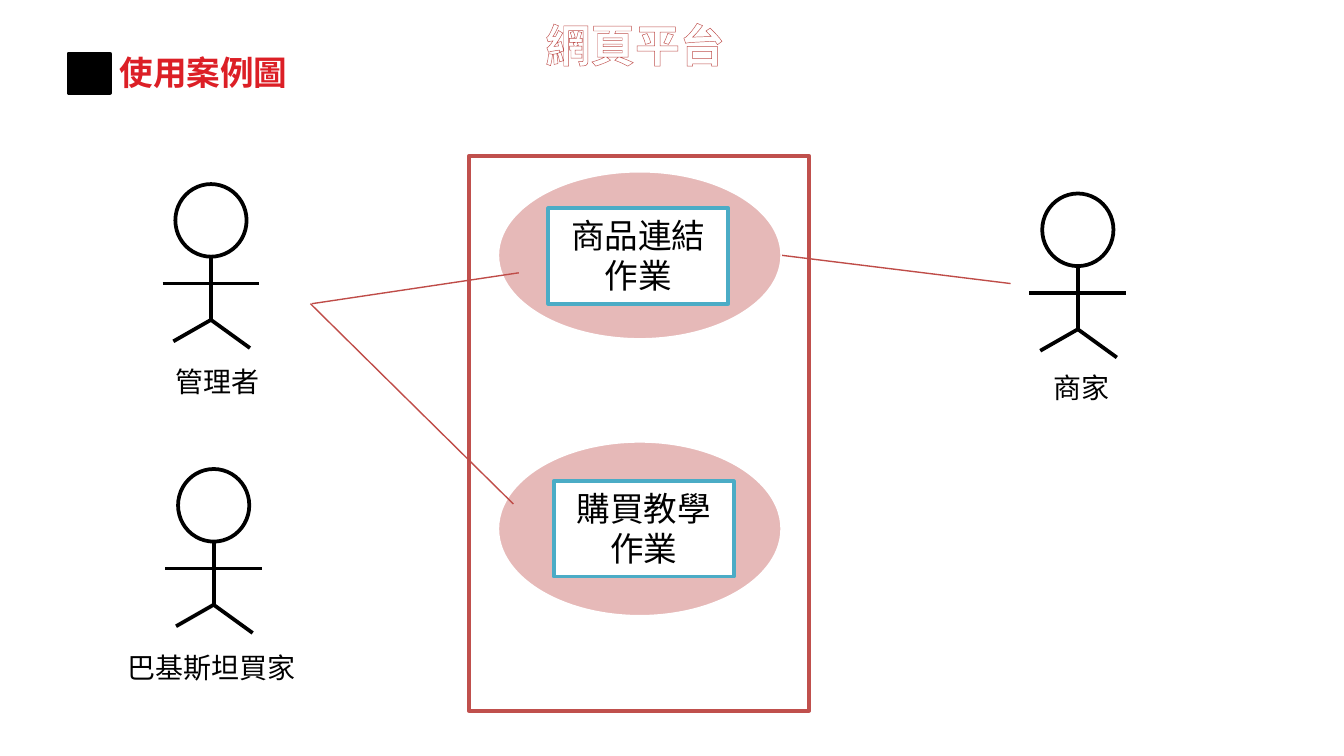
from lxml.etree import SubElement
from pptx import Presentation
from pptx.dml.color import RGBColor
from pptx.enum.shapes import MSO_CONNECTOR, MSO_SHAPE as Shape
from pptx.enum.text import MSO_ANCHOR, PP_ALIGN
from pptx.oxml import parse_xml
from pptx.oxml.ns import nsdecls, qn
from pptx.util import Inches, Pt

BLACK = RGBColor(0x00, 0x00, 0x00)
WHITE = RGBColor(0xFF, 0xFF, 0xFF)
TITLE_RED = RGBColor(0xDC, 0x1F, 0x26)
FRAME_RED = RGBColor(0xC0, 0x50, 0x4D)
LINK_RED = RGBColor(0xBF, 0x4C, 0x48)
PINK = RGBColor(0xE6, 0xB9, 0xB8)
TEAL = RGBColor(0x4B, 0xAC, 0xC6)

# Content: lengths in inches
TITLE = "使用案例圖"
SYSTEM = "網頁平台"
USE_CASES = [  # text, ellipse top and height, label left and top
    ("商品連結作業", 1.27, 1.26, 4.08, 1.55),
    ("購買教學作業", 3.28, 1.31, 4.12, 3.58),
]
ACTORS = [  # name, figure centre and top, name box
    ("管理者", 1.57, 1.37, (1.21, 2.66, 1.67, 0.35)),
    ("巴基斯坦買家", 1.59, 3.49, (0.85, 4.79, 1.6, 0.35)),
    ("商家", 8.02, 1.44, (7.74, 2.71, 1.67, 0.35)),
]
LINKS = [
    ((2.32, 2.26), (3.86, 2.03)),
    ((2.31, 2.26), (3.82, 3.75)),
    ((5.82, 1.9), (7.52, 2.11)),
]

# Stick figure, measured from the top centre of the head
HEAD_WIDTH, HEAD_HEIGHT = 0.53, 0.54
LIMBS = [
    ((-0.36, 0.74), (0.36, 0.74)),
    ((0, 0.54), (0, 1.01)),
    ((0, 1.01), (-0.28, 1.17)),
    ((0.29, 1.22), (0, 1.01)),
]


def add_figure(shapes, kind, place, fill, line):
    shape = shapes.add_shape(kind, *map(Inches, place))
    shape.shadow.inherit = False
    shape.fill.solid()
    shape.fill.fore_color.rgb = fill
    shape.line.color.rgb = line
    shape.line.width = Pt(2)
    return shape


def add_line(shapes, start, end, color, width):
    line = shapes.add_connector(MSO_CONNECTOR.STRAIGHT, *map(Inches, start + end))
    line.line.color.rgb = color
    line.line.width = Pt(width)
    SubElement(line._element.spPr, qn("a:effectLst"))


def write(shape, text, size, color=BLACK, name="Calibri", bold=False,
          align=PP_ALIGN.LEFT):
    frame = shape.text_frame
    frame.word_wrap = True
    para = frame.paragraphs[0]
    para.text = text
    para.alignment = align
    font = para.font
    font.size, font.name, font.bold = Pt(size), name, bold
    font.color.rgb = color
    return para


def add_text(place, text, size, **style):
    box = page.shapes.add_textbox(*map(Inches, place))
    return write(box, text, size, **style)


# Widescreen page, 16:9
deck = Presentation()
deck.slide_width = Inches(10)
deck.slide_height = Inches(10 * 9 / 16)
page = deck.slides.add_slide(deck.slide_layouts[6])

# System frame and headings
add_figure(page.shapes, Shape.RECTANGLE, (3.49, 1.16, 2.53, 4.13), WHITE, FRAME_RED)
add_text((0.79, 0.34, 3.62, 0.4), TITLE, 18, color=TITLE_RED,
         name="Noto Sans CJK SC", bold=True)
add_figure(page.shapes, Shape.RECTANGLE, (0.51, 0.4, 0.31, 0.29), BLACK, BLACK)
heading = add_text((3.96, 0.08, 2.05, 0.5), SYSTEM, 24, color=WHITE, bold=True)
outline = parse_xml(
    f'<a:ln {nsdecls("a")} w="{Pt(0.52)}"><a:solidFill>'
    f'<a:srgbClr val="{FRAME_RED}"/></a:solidFill></a:ln>')
heading.runs[0]._r.get_or_add_rPr().insert(0, outline)

# Use cases
for text, top, height, label_left, label_top in USE_CASES:
    add_figure(page.shapes, Shape.OVAL, (3.7, top, 2.12, height), PINK, WHITE)
    label = add_figure(page.shapes, Shape.RECTANGLE,
                       (label_left, label_top, 1.34, 0.71), WHITE, TEAL)
    label.text_frame.vertical_anchor = MSO_ANCHOR.TOP
    write(label, text, 18, align=PP_ALIGN.CENTER)

# Actors
for name, centre, top, name_box in ACTORS:
    actor = page.shapes.add_group_shape()
    add_figure(actor.shapes, Shape.FLOWCHART_CONNECTOR,
               (centre - HEAD_WIDTH / 2, top, HEAD_WIDTH, HEAD_HEIGHT), WHITE, BLACK)
    for limb in LIMBS:
        start, end = [(centre + x, top + y) for x, y in limb]
        add_line(actor.shapes, start, end, BLACK, 2)
    add_text(name_box, name, 15)

# Links between actors and use cases
for start, end in LINKS:
    add_line(page.shapes, start, end, LINK_RED, 0.75)

deck.save("out.pptx")
